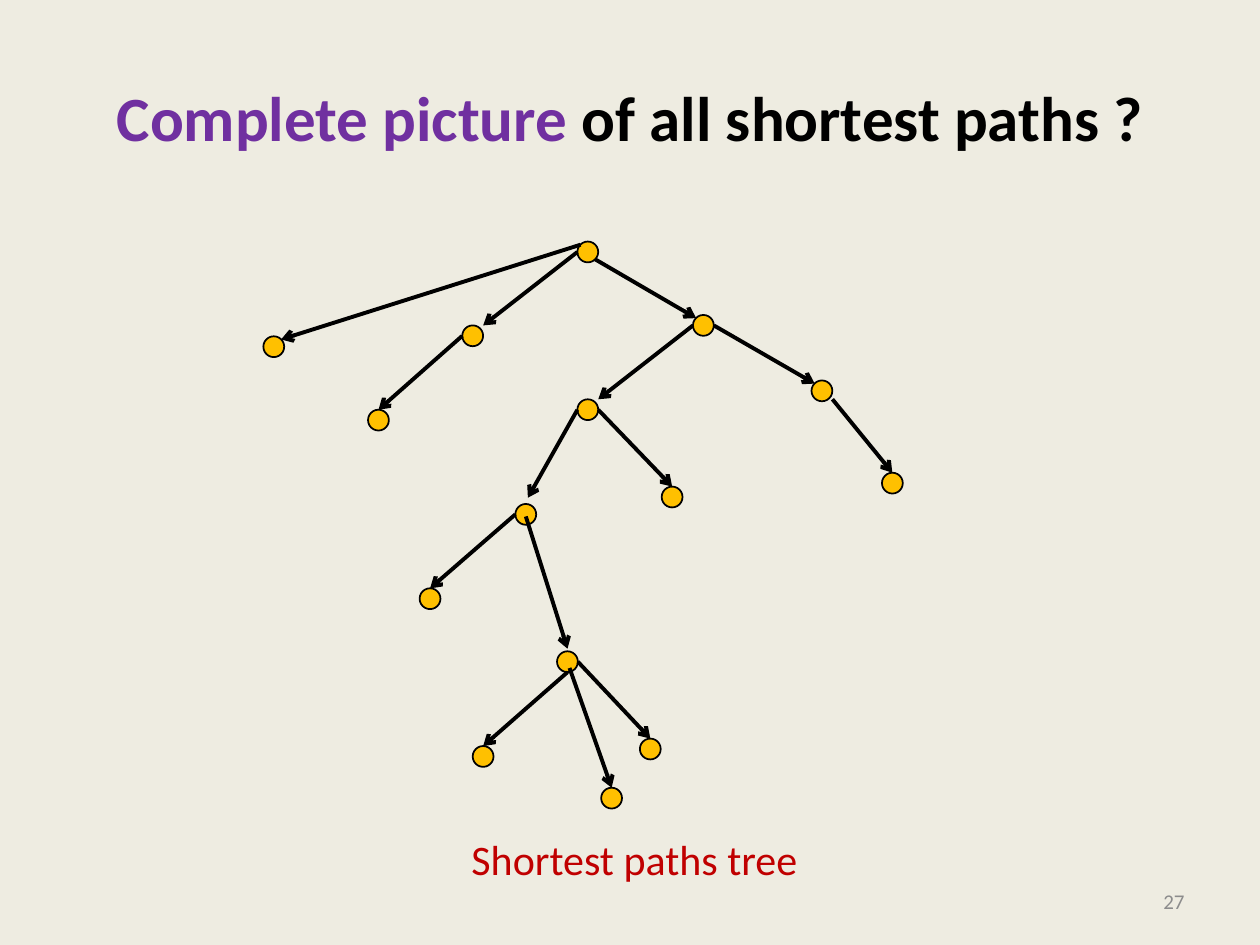
import pptx
import pptx.util
import pptx.dml.color
import pptx.enum.shapes
import pptx.enum.text
import pptx.oxml
import pptx.oxml.ns

Cm, Pt = pptx.util.Cm, pptx.util.Pt
RGBColor = pptx.dml.color.RGBColor
ALIGN = pptx.enum.text.PP_ALIGN
ANCHOR = pptx.enum.text.MSO_ANCHOR

BACKGROUND = RGBColor(0xEE, 0xEC, 0xE1)
PURPLE = RGBColor(0x70, 0x30, 0xA0)
BLACK = RGBColor(0, 0, 0)
RED = RGBColor(0xC0, 0, 0)
GRAY = RGBColor(0x8C, 0x8C, 0x8C)
GOLD = RGBColor(0xFF, 0xC0, 0)
FONT = "Calibri"
RADIUS = 0.21

# Vertex centres in cm
VERTICES = {
    "root": (11.85, 5.08),
    "left": (9.53, 6.77), "far left": (5.52, 6.99), "left leaf": (7.63, 8.47),
    "right": (14.18, 6.56), "far right": (16.57, 7.88), "right leaf": (17.99, 9.74),
    "hub": (11.85, 8.26), "hub leaf": (13.55, 10.02),
    "lower": (10.6, 10.37), "lower leaf": (8.67, 12.07),
    "base": (11.44, 13.34),
    "base leaf 1": (9.74, 15.25), "base leaf 2": (12.33, 16.09),
    "base leaf 3": (13.11, 15.1),
}

# Attachment points around a vertex, in radii from its centre
ANCHORS = {
    "centre": (0, 0.2), "N": (0, -1), "S": (0, 1), "W": (-1, 0), "E": (1, 0),
    "NW": (-0.7, -0.7), "NE": (0.7, -0.7), "SE": (0.7, 0.7),
    "NE corner": (1, -1), "SE corner": (1, 0.8),
    "above": (0, -1.25), "well above": (0.2, -1.6), "inside S": (0.2, 0.6),
}

# Parent, its anchor, child, its anchor
EDGES = [
    ("root", "NW", "far left", "NE"),
    ("root", "W", "left", "NE corner"),
    ("root", "SE", "right", "NW"),
    ("left", "W", "left leaf", "N"),
    ("right", "W", "hub", "NE corner"),
    ("right", "E", "far right", "NW"),
    ("far right", "SE corner", "right leaf", "N"),
    ("hub", "W", "lower", "well above"),
    ("hub", "E", "hub leaf", "N"),
    ("lower", "W", "lower leaf", "N"),
    ("lower", "centre", "base", "above"),
    ("base", "S", "base leaf 1", "N"),
    ("base", "inside S", "base leaf 2", "N"),
    ("base", "E", "base leaf 3", "N"),
]


class TreeSlide:
    def __init__(self, prs):
        self.s = prs.slides.add_slide(prs.slide_layouts[1])
        self.s.background.fill.solid()
        self.s.background.fill.fore_color.rgb = BACKGROUND

    def text(self, sp, box, runs, size, align, anchor=ANCHOR.MIDDLE, bold=False):
        sp.left, sp.top, sp.width, sp.height = (Cm(v) for v in box)
        tf = sp.text_frame
        tf.word_wrap = True
        tf.auto_size = pptx.enum.text.MSO_AUTO_SIZE.NONE
        tf.vertical_anchor = anchor
        p = tf.paragraphs[0]
        p.alignment = align
        p.space_before = Pt(0)
        for words, color in runs:
            r = p.add_run()
            r.text = words
            r.font.name, r.font.size, r.font.bold = FONT, Pt(size), bold
            r.font.color.rgb = color
        return p

    def title(self, box, runs):
        self.text(self.s.shapes.title, box, runs, 36, ALIGN.CENTER, bold=True)

    def caption(self, box, words):
        p = self.text(self.s.placeholders[1], box, [(words, RED)], 24, ALIGN.CENTER)
        pPr = p._p.get_or_add_pPr()
        pPr.set("marL", "0")
        pPr.set("indent", "0")
        pPr.append(pptx.oxml.parse_xml(
            "<a:buNone %s/>" % pptx.oxml.ns.nsdecls("a")))

    def page_number(self, box, words):
        sp = self.s.shapes.add_textbox(0, 0, 0, 0)
        self.text(sp, box, [(words, GRAY)], 12, ALIGN.RIGHT)

    def vertex(self, x, y):
        sp = self.s.shapes.add_shape(
            pptx.enum.shapes.MSO_SHAPE.OVAL, Cm(x - RADIUS), Cm(y - RADIUS),
            Cm(2 * RADIUS), Cm(2 * RADIUS))
        sp.shadow.inherit = False
        sp.fill.solid()
        sp.fill.fore_color.rgb = GOLD
        sp.line.color.rgb = BLACK
        sp.line.width = Pt(1)

    def edge(self, start, end):
        sp = self.s.shapes.add_connector(
            pptx.enum.shapes.MSO_CONNECTOR.STRAIGHT, *(Cm(v) for v in start + end))
        sp.line.color.rgb = BLACK
        sp.line.width = Pt(2.25)
        ns = pptx.oxml.ns.nsdecls("a")
        sp.line._get_or_add_ln().append(
            pptx.oxml.parse_xml('<a:tailEnd %s type="arrow"/>' % ns))
        sp._element.spPr.append(pptx.oxml.parse_xml("<a:effectLst %s/>" % ns))


def attach(vertex, anchor):
    x, y = VERTICES[vertex]
    dx, dy = ANCHORS[anchor]
    return x + dx * RADIUS, y + dy * RADIUS


def main():
    prs = pptx.Presentation()
    prs.slide_width, prs.slide_height = Cm(25.4), Cm(19.05)
    slide = TreeSlide(prs)

    # Title, caption and page number
    slide.title((1.27, 0.76, 22.86, 3.18),
                [("Complete picture ", PURPLE), ("of all shortest paths ?", BLACK)])
    slide.caption((1.36, 16.6, 22.86, 1.4), "Shortest paths tree")
    slide.page_number((18.21, 17.65, 5.92, 1.02), "27")

    # Shortest paths tree
    for x, y in VERTICES.values():
        slide.vertex(x, y)
    for parent, out_of, child, into in EDGES:
        slide.edge(attach(parent, out_of), attach(child, into))

    prs.save("out.pptx")


if __name__ == "__main__":
    main()
